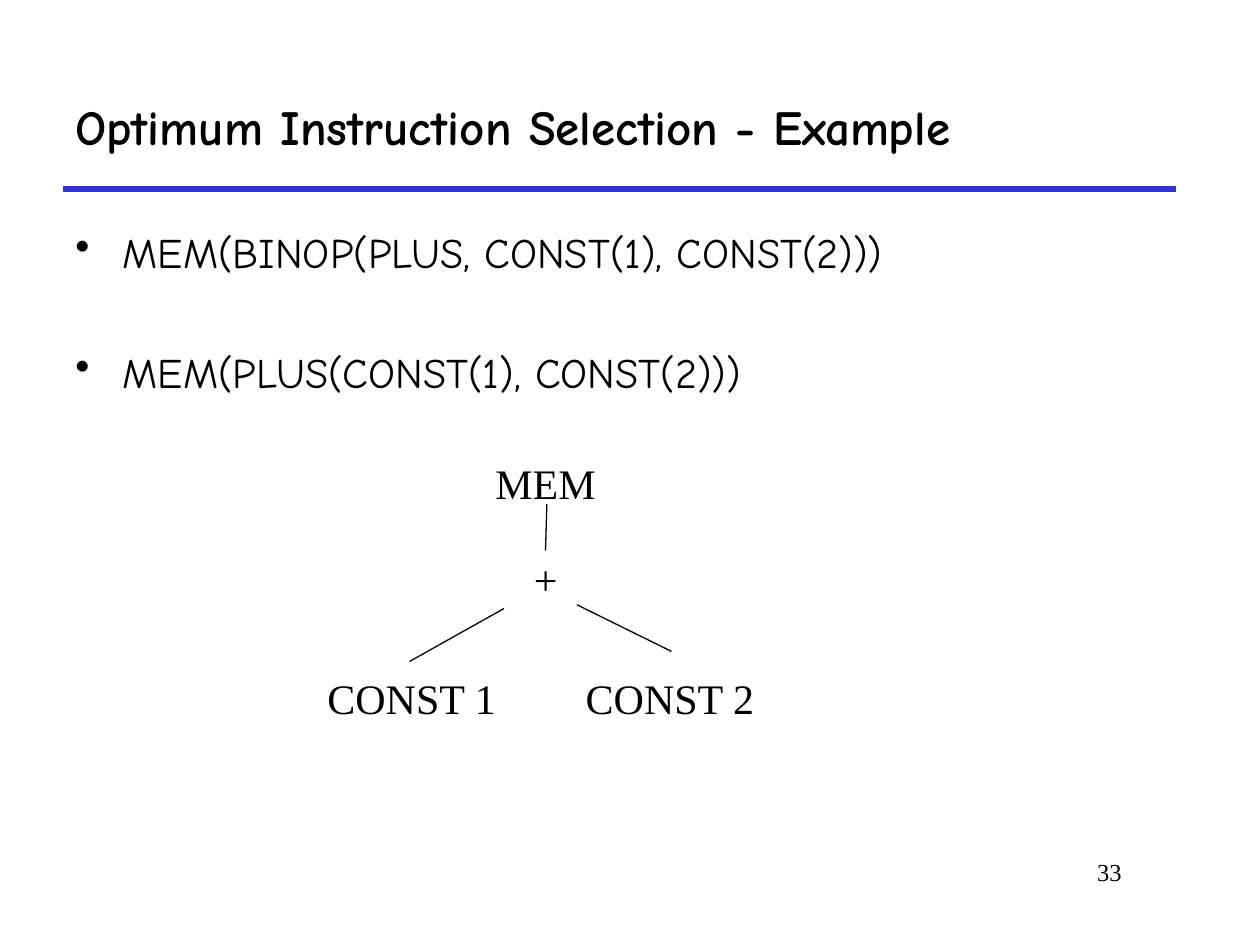
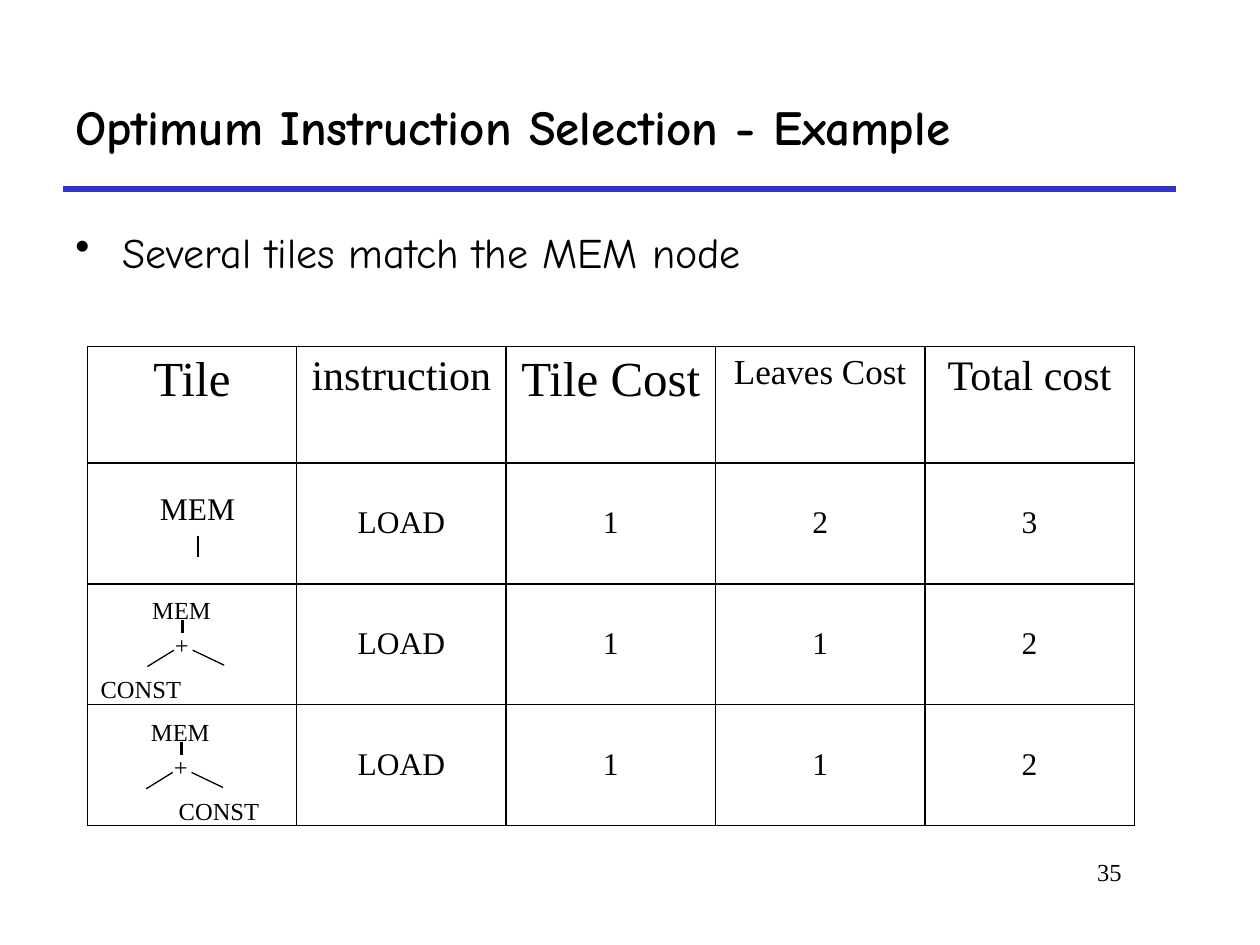
from dataclasses import dataclass
from typing import Any, NamedTuple

from lxml.etree import SubElement
from pptx import Presentation
from pptx.dml.color import RGBColor
from pptx.enum.shapes import MSO_CONNECTOR
from pptx.enum.text import MSO_ANCHOR, PP_ALIGN
from pptx.oxml.ns import qn
from pptx.util import Pt


@dataclass(frozen=True)
class Theme:
    ink: RGBColor = RGBColor(0x00, 0x00, 0x00)
    paper: RGBColor = RGBColor(0xFF, 0xFF, 0xFF)
    rule: RGBColor = RGBColor(0x33, 0x33, 0xCC)
    heading_font: str = "Comic Neue"
    text_font: str = "Times New Roman"
    title: float = 28
    body: float = 24
    cell: float = 18
    small: float = 14
    rule_weight: float = 3
    thin: float = 0.75
    thick: float = 1.5
    border: float = 1


THEME = Theme()


class Box(NamedTuple):
    left: float
    top: float
    width: float
    height: float


class Node(NamedTuple):
    text: str
    left: float
    top: float
    width: float


class Edge(NamedTuple):
    x1: float
    y1: float
    x2: float
    y2: float
    weight: float = THEME.thin


class Tree(NamedTuple):
    left: float
    top: float
    size: float
    nodes: tuple[Node, ...]
    edges: tuple[Edge, ...]


class Heading(NamedTuple):
    text: str
    size: float


TITLE = "Optimum Instruction Selection - Example"
TITLE_BOX = Box(36, 36, 636, 72)
BODY_BOX = Box(36, 126, 654, 168)
NUMBER_BOX = Box(498, 486, 150, 36)
TITLE_RULE = Edge(36, 108, 672, 108, THEME.rule_weight)
BULLET_INDENT = 27
BULLET_GAP = 39.5

TABLE_BOX = Box(49.9, 198, 598.3, 273.6)
HEADER_HEIGHT = 66.6
CELL_TOP = 24.3
HEADINGS = (
    Heading("Tile", 28),
    Heading("instruction", 24),
    Heading("Tile Cost", 28),
    Heading("Leaves Cost", 20),
    Heading("Total cost", 24),
)
COSTS = (
    ("", "LOAD", "1", "2", "3"),
    ("", "LOAD", "1", "1", "2"),
    ("", "LOAD", "1", "1", "2"),
)

EXPRESSION = Tree(
    180, 258, THEME.body,
    (
        Node("MEM", 96, 0, 73),
        Node("+", 118, 54.5, 28),
        Node("CONST 1", 0, 123, 111.6),
        Node("CONST 2", 147.6, 123, 111.6),
    ),
    (
        Edge(132.5, 30, 131.75, 56.7),
        Edge(108, 89.75, 54, 120),
        Edge(149.75, 87.6, 203.75, 114.25),
    ),
)
LOAD_TILE = Tree(
    84.25, 275.75, THEME.cell,
    (Node("MEM", 0, 0, 58.3),),
    (Edge(28.8, 30.25, 28.8, 42.5, THEME.thick),),
)


def plus_tile(left: float, top: float, const_left: float) -> Tree:
    return Tree(
        left, top, THEME.small,
        (
            Node("MEM", 29.5, 0, 48.25),
            Node("+", 42.5, 20.15, 22.3),
            Node("CONST", const_left, 45.35, 60.5),
        ),
        (
            Edge(54, 18, 54, 25.2, THEME.thick),
            Edge(49, 35.3, 33.85, 44.65),
            Edge(59.75, 35.3, 77.75, 43.9),
        ),
    )


TILES = (LOAD_TILE, plus_tile(50.4, 336.25, 0), plus_tile(49.7, 406.1, 45.35))


def apply(target: Any, formats: dict[str, Any]) -> None:
    for attribute, value in formats.items():
        setattr(target, attribute, value)


def write(paragraph: Any, text: str, size: float, font: str = THEME.text_font,
          bold: bool = False, align: PP_ALIGN = PP_ALIGN.LEFT) -> None:
    run = paragraph.add_run()
    run.text = text
    paragraph.alignment = align
    apply(run.font, {"size": Pt(size), "name": font, "bold": bold})
    run.font.color.rgb = THEME.ink


def add_frame(shapes: Any, box: Box, wrap: bool = True,
              anchor: MSO_ANCHOR = MSO_ANCHOR.TOP) -> Any:
    frame = shapes.add_textbox(*(Pt(length) for length in box)).text_frame
    apply(frame, {"word_wrap": wrap, "vertical_anchor": anchor})
    return frame


def add_edge(shapes: Any, edge: Edge, color: RGBColor = THEME.ink) -> None:
    ends = (Pt(length) for length in edge[:4])
    connector = shapes.add_connector(MSO_CONNECTOR.STRAIGHT, *ends)
    connector.line.width = Pt(edge.weight)
    connector.line.color.rgb = color
    SubElement(connector._element.spPr, qn("a:effectLst"))


def add_tree(slide: Any, tree: Tree) -> None:
    shapes = slide.shapes.add_group_shape().shapes
    for node in tree.nodes:
        box = Box(tree.left + node.left, tree.top + node.top,
                  node.width, tree.size + 9)
        frame = add_frame(shapes, box, wrap=False)
        write(frame.paragraphs[0], node.text, tree.size)
    for edge in tree.edges:
        add_edge(shapes, Edge(tree.left + edge.x1, tree.top + edge.y1,
                              tree.left + edge.x2, tree.top + edge.y2,
                              edge.weight))


def add_bullets(slide: Any, lines: tuple[str, ...]) -> None:
    frame = add_frame(slide.shapes, BODY_BOX)
    for index, line in enumerate(lines):
        paragraph = frame.add_paragraph() if index else frame.paragraphs[0]
        properties = paragraph._p.get_or_add_pPr()
        properties.set("marL", str(Pt(BULLET_INDENT)))
        properties.set("indent", str(-Pt(BULLET_INDENT)))
        SubElement(properties, qn("a:buChar"), char="•")
        if index:
            paragraph.space_before = Pt(BULLET_GAP)
        write(paragraph, line, THEME.body, THEME.heading_font)


def add_base(deck: Any, number: str, bullets: tuple[str, ...]) -> Any:
    slide = deck.slides.add_slide(deck.slide_layouts[6])
    slide.background.fill.solid()
    slide.background.fill.fore_color.rgb = THEME.paper
    add_edge(slide.shapes, TITLE_RULE, THEME.rule)
    footer = add_frame(slide.shapes, NUMBER_BOX)
    write(footer.paragraphs[0], number, THEME.small, align=PP_ALIGN.RIGHT)
    title = add_frame(slide.shapes, TITLE_BOX, anchor=MSO_ANCHOR.MIDDLE)
    write(title.paragraphs[0], TITLE, THEME.title, THEME.heading_font, bold=True)
    add_bullets(slide, bullets)
    return slide


def style_cell(cell: Any) -> None:
    properties = cell._tc.get_or_add_tcPr()
    for side in ("lnL", "lnR", "lnT", "lnB"):
        border = SubElement(properties, qn(f"a:{side}"), w=str(Pt(THEME.border)))
        fill = SubElement(border, qn("a:solidFill"))
        SubElement(fill, qn("a:srgbClr"), val=str(THEME.ink))
    cell.fill.solid()
    cell.fill.fore_color.rgb = THEME.paper


def add_cost_table(slide: Any) -> None:
    rows = (tuple(heading.text for heading in HEADINGS), *COSTS)
    table = slide.shapes.add_table(
        len(rows), len(HEADINGS), *(Pt(length) for length in TABLE_BOX)).table
    apply(table, {"first_row": False, "horz_banding": False})
    for column in table.columns:
        column.width = Pt(TABLE_BOX.width / len(HEADINGS))
    cost_height = (TABLE_BOX.height - HEADER_HEIGHT) / len(COSTS)
    for row_index, texts in enumerate(rows):
        table.rows[row_index].height = Pt(cost_height if row_index else HEADER_HEIGHT)
        for column_index, text in enumerate(texts):
            cell = table.cell(row_index, column_index)
            style_cell(cell)
            if row_index:
                cell.margin_top = Pt(CELL_TOP)
            if text:
                size = THEME.cell if row_index else HEADINGS[column_index].size
                write(cell.text_frame.paragraphs[0], text, size,
                      align=PP_ALIGN.CENTER)


def main() -> None:
    deck = Presentation()
    apply(deck, {"slide_width": Pt(720), "slide_height": Pt(540)})

    expression = add_base(deck, "33", (
        "MEM(BINOP(PLUS, CONST(1), CONST(2)))",
        "MEM(PLUS(CONST(1), CONST(2)))",
    ))
    add_tree(expression, EXPRESSION)

    matches = add_base(deck, "35", ("Several tiles match the MEM node",))
    add_cost_table(matches)
    for tile in TILES:
        add_tree(matches, tile)

    deck.save("out.pptx")


if __name__ == "__main__":
    main()
